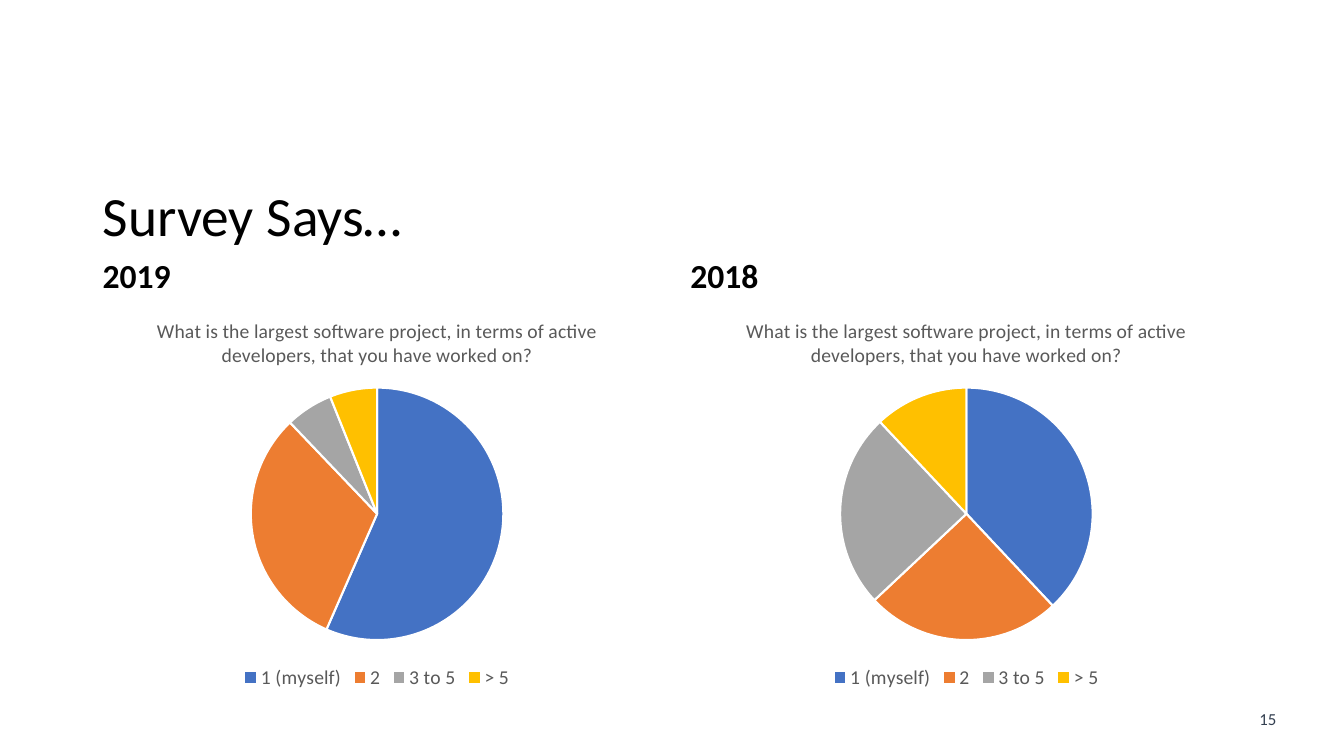
from dataclasses import dataclass

import lxml.etree
import pptx
import pptx.chart.data
import pptx.dml.color
import pptx.enum.chart
import pptx.enum.text
import pptx.util
from pptx.util import Inches

FONT = "Calibri"
COLORS = {
    "black": "000000",
    "white": "FFFFFF",
    "gray": "595959",
    "number": "333F50",
}
SLICE_COLORS = ["4472C4", "ED7D31", "A5A5A5", "FFC000"]
QUESTION = (
    "What is the largest software project, in terms of active developers, "
    "that you have worked on?"
)
ANSWERS = ["1 (myself)", "2", "3 to 5", "> 5"]
ALIGN = pptx.enum.text.PP_ALIGN
ANCHOR = pptx.enum.text.MSO_ANCHOR


@dataclass
class Survey:
    year: str
    left: float
    width: float
    shares: list[int]


SURVEYS = [
    Survey("2019", 0.92, 5.64, [56, 31, 6, 6]),
    Survey("2018", 6.75, 5.67, [38, 25, 25, 12]),
]


def rgb(name: str) -> pptx.dml.color.RGBColor:
    return pptx.dml.color.RGBColor.from_string(COLORS.get(name, name))


def format_font(font, size: float, color: str, bold: bool = False) -> None:
    font.name = FONT
    font.size = pptx.util.Pt(size)
    font.bold = bold
    font.color.rgb = rgb(color)


def write_text(frame, text: str, *, size: float, color: str = "black",
               bold: bool = False, align=ALIGN.LEFT, anchor=ANCHOR.MIDDLE,
               line_spacing: float = 1.0, space_before: float = 0) -> None:
    frame.word_wrap = True
    frame.auto_size = pptx.enum.text.MSO_AUTO_SIZE.NONE
    frame.vertical_anchor = anchor
    para = frame.paragraphs[0]
    para.alignment = align
    para.line_spacing = line_spacing
    para.space_before = pptx.util.Pt(space_before)
    span = para.add_run()
    span.text = text
    format_font(span.font, size, color, bold)


def add_survey(page, survey: Survey) -> None:
    # Year heading
    box = page.shapes.add_textbox(
        Inches(survey.left), Inches(2.53), Inches(survey.width), Inches(0.45))
    write_text(box.text_frame, survey.year, size=24, bold=True,
               anchor=ANCHOR.BOTTOM, line_spacing=0.8, space_before=10)

    # Pie chart
    data = pptx.chart.data.CategoryChartData()
    data.categories = ANSWERS
    data.add_series(QUESTION, survey.shares)
    chart = page.shapes.add_chart(
        pptx.enum.chart.XL_CHART_TYPE.PIE, Inches(survey.left), Inches(2.98),
        Inches(survey.width), Inches(3.9), data).chart
    format_font(chart.font, 10, "black")

    # Chart title and legend
    chart.has_title = True
    para = chart.chart_title.text_frame.paragraphs[0]
    span = para.add_run()
    span.text = QUESTION
    format_font(span.font, 14, "gray")
    chart.chart_title.include_in_layout = False
    chart.has_legend = True
    chart.legend.position = pptx.enum.chart.XL_LEGEND_POSITION.BOTTOM
    chart.legend.include_in_layout = False
    format_font(chart.legend.font, 14, "gray")

    # Slices
    plot = chart.plots[0]
    plot.vary_by_categories = True
    for index, color in enumerate(SLICE_COLORS):
        piece = plot.series[0].points[index].format
        piece.fill.solid()
        piece.fill.fore_color.rgb = rgb(color)
        piece.line.color.rgb = rgb("white")
        piece.line.width = pptx.util.Pt(1.5)


def main() -> None:
    deck = pptx.Presentation()
    deck.slide_width = Inches(13.33)
    deck.slide_height = Inches(7.5)
    page = deck.slides.add_slide(deck.slide_layouts[5])

    # Title
    title = page.shapes.title
    title.left, title.top = Inches(0.92), Inches(1.82)
    title.width, title.height = Inches(11.5), Inches(0.7)
    write_text(title.text_frame, "Survey Says…", size=39.6, line_spacing=0.9)

    # Yearly results
    for survey in SURVEYS:
        add_survey(page, survey)

    # Slide number
    number = page.shapes.add_textbox(
        Inches(12.34), Inches(6.98), Inches(0.47), Inches(0.3))
    write_text(number.text_frame, "15", size=12, color="number",
               align=ALIGN.CENTER, anchor=ANCHOR.TOP)

    deck.save("out.pptx")


if __name__ == "__main__":
    main()
